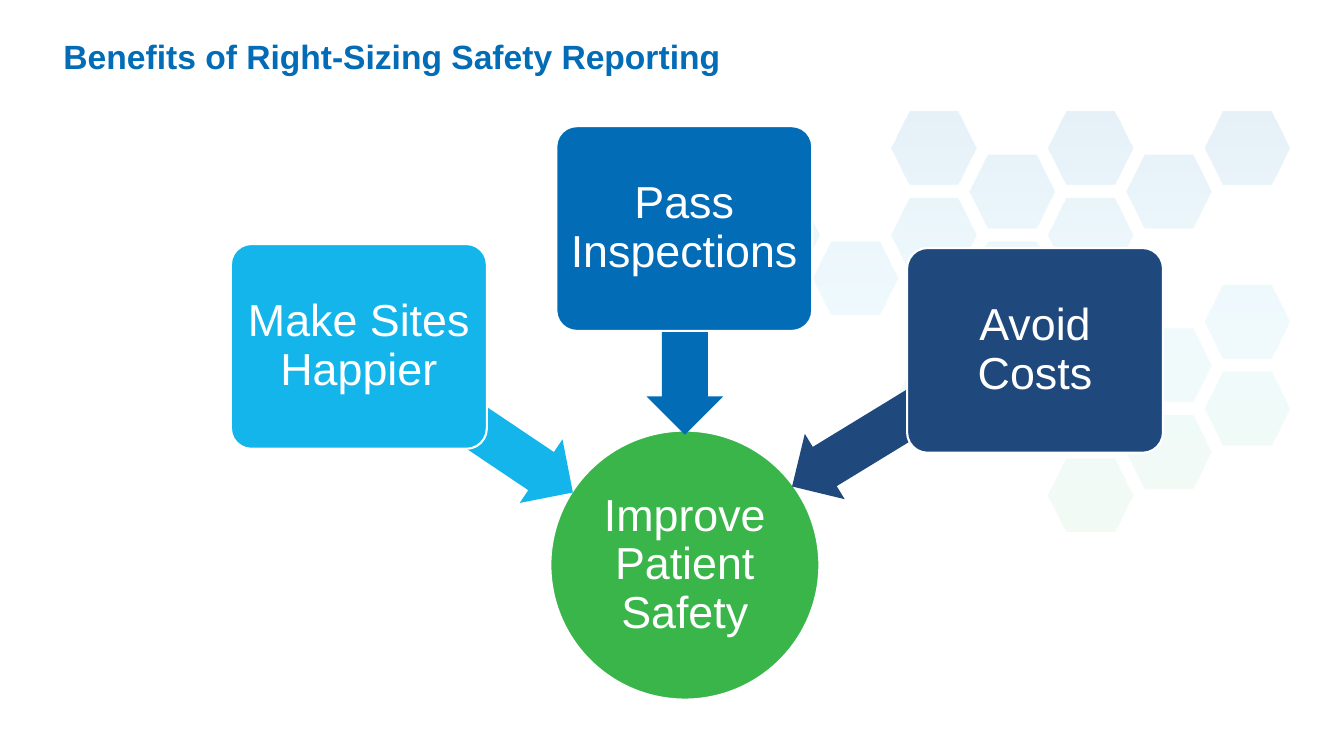
from dataclasses import dataclass

from pptx import Presentation
from pptx import oxml
from pptx import util as u
from pptx.dml import color
from pptx.enum import shapes, text
from pptx.oxml import ns

Cm, Pt = u.Cm, u.Pt


@dataclass(frozen=True)
class Theme:
    font: str = "Arial"
    white: str = "FFFFFF"
    blue: str = "026CB6"
    sky: str = "13B5EA"
    navy: str = "1F497D"
    green: str = "39B54A"
    title_size: int = 24
    label_size: int = 32
    outline: float = 1.5


T = Theme()

# Honeycomb: occupied columns in each row, and cell measures in cm
HEX_ROWS = [(2, 4, 6), (3, 5), (0, 2, 4), (1, 3), (4, 6), (3, 5), (2, 6), (5,), (4,)]
HEX_LEFT, HEX_TOP = 18.52, 2.82
HEX_DX, HEX_DY = 1.97, 1.09
HEX_W, HEX_H, HEX_CORNER = 2.15, 1.85, 0.46

# Benefits: label, colour, box left/top, arrow left/top/width, arrow rotation
BOX_W, BOX_H, ARROW_H = 6.45, 5.16, 1.93
BENEFITS = [
    ("Make Sites Happier", T.sky, (5.82, 6.15), (8.81, 9.73, 6.15), 213.9),
    ("Pass Inspections", T.blue, (14.02, 3.18), (14.86, 7.59, 4.8), 270),
    ("Avoid Costs", T.navy, (22.86, 6.25), (19.48, 9.58, 6.58), 328.6),
]


def rgb(value):
    return color.RGBColor.from_string(value)


def add_shape(s, kind, box, fill, adjustments=(), outlined=False):
    sp = s.shapes.add_shape(kind, *map(Cm, box))
    sp.shadow.inherit = False
    sp.fill.solid()
    sp.fill.fore_color.rgb = rgb(fill)
    for i, value in enumerate(adjustments):
        sp.adjustments[i] = value
    if outlined:
        sp.line.color.rgb = rgb(T.white)
        sp.line.width = Pt(T.outline)
    else:
        sp.line.fill.background()
    return sp


def set_text(sp, words, size, fill, insets, align, anchor, bold=False):
    tf = sp.text_frame
    tf.word_wrap = True
    tf.vertical_anchor = anchor
    tf.margin_left = tf.margin_right = Cm(insets[0])
    tf.margin_top = tf.margin_bottom = Cm(insets[1])
    p = tf.paragraphs[0]
    p.text = words
    p.alignment = align
    p.line_spacing = 0.9
    p.font.name = T.font
    p.font.size = Pt(size)
    p.font.bold = bold
    p.font.color.rgb = rgb(fill)


def set_label(sp, words, inset):
    set_text(sp, words, T.label_size, T.white, (inset, inset),
             text.PP_ALIGN.CENTER, text.MSO_ANCHOR.MIDDLE)


def set_gradient(sp, stops):
    """Fill from top to bottom with (position %, colour, opacity %) stops."""
    gs = "".join(
        f'<a:gs pos="{pos * 1000}"><a:srgbClr val="{c}">'
        f'<a:alpha val="{alpha * 1000}"/></a:srgbClr></a:gs>'
        for pos, c, alpha in stops)
    grad = oxml.parse_xml(
        f'<a:gradFill {ns.nsdecls("a")} rotWithShape="1"><a:gsLst>{gs}</a:gsLst>'
        '<a:lin ang="5400000" scaled="0"/></a:gradFill>')
    sp.fill.background()
    spPr = sp._element.spPr
    spPr.replace(spPr.find(ns.qn("a:noFill")), grad)


def hexagon(col, row):
    x, y = HEX_LEFT + col * HEX_DX, HEX_TOP + row * HEX_DY
    right, middle, bottom = x + HEX_W, y + HEX_H / 2, y + HEX_H
    points = [(x + HEX_CORNER, y), (right - HEX_CORNER, y), (right, middle),
              (right - HEX_CORNER, bottom), (x + HEX_CORNER, bottom), (x, middle)]
    return [(Cm(px), Cm(py)) for px, py in points]


def add_honeycomb(s):
    cells = [hexagon(col, row) for row, cols in enumerate(HEX_ROWS) for col in cols]
    builder = s.shapes.build_freeform(*cells[0][0])
    for cell in cells:
        if cell is not cells[0]:
            builder.move_to(*cell[0])
        builder.add_line_segments(cell[1:], close=True)
    sp = builder.convert_to_shape()
    sp.shadow.inherit = False
    sp.line.fill.background()
    set_gradient(sp, [(0, T.blue, 100), (50, T.sky, 64), (100, T.green, 66)])


def add_veil(s):
    sp = add_shape(s, shapes.MSO_SHAPE.RECTANGLE, (0, 2.29, 33.87, 15.37), T.white)
    clr = sp._element.spPr.find(ns.qn("a:solidFill"))[0]
    clr.append(oxml.parse_xml(f'<a:alpha {ns.nsdecls("a")} val="90000"/>'))


def add_title(s, words):
    sp = s.shapes.add_textbox(Cm(1.6), Cm(0.89), Cm(24), Cm(1.27))
    set_text(sp, words, T.title_size, T.blue, (0, 0.13),
             text.PP_ALIGN.LEFT, text.MSO_ANCHOR.TOP, bold=True)


def add_goal(s, words):
    sp = add_shape(s, shapes.MSO_SHAPE.OVAL, (13.87, 10.85, 6.78, 6.78),
                   T.green, outlined=True)
    set_label(sp, words, 0.05)


def add_benefit(s, words, fill, corner, arrow, rotation):
    sp = add_shape(s, shapes.MSO_SHAPE.LEFT_ARROW, (*arrow, ARROW_H), fill, (0.6, 0.5))
    sp.rotation = rotation
    sp = add_shape(s, shapes.MSO_SHAPE.ROUNDED_RECTANGLE, (*corner, BOX_W, BOX_H),
                   fill, (0.1,), outlined=True)
    set_label(sp, words, 0.17)


def main():
    prs = Presentation()
    prs.slide_width, prs.slide_height = Cm(33.87), Cm(19.05)
    s = prs.slides.add_slide(prs.slide_layouts[6])

    # Background
    add_honeycomb(s)
    add_veil(s)

    # Title
    add_title(s, "Benefits of Right-Sizing Safety Reporting")

    # Converging diagram
    add_goal(s, "Improve Patient Safety")
    for benefit in BENEFITS:
        add_benefit(s, *benefit)

    prs.save("out.pptx")


if __name__ == "__main__":
    main()
